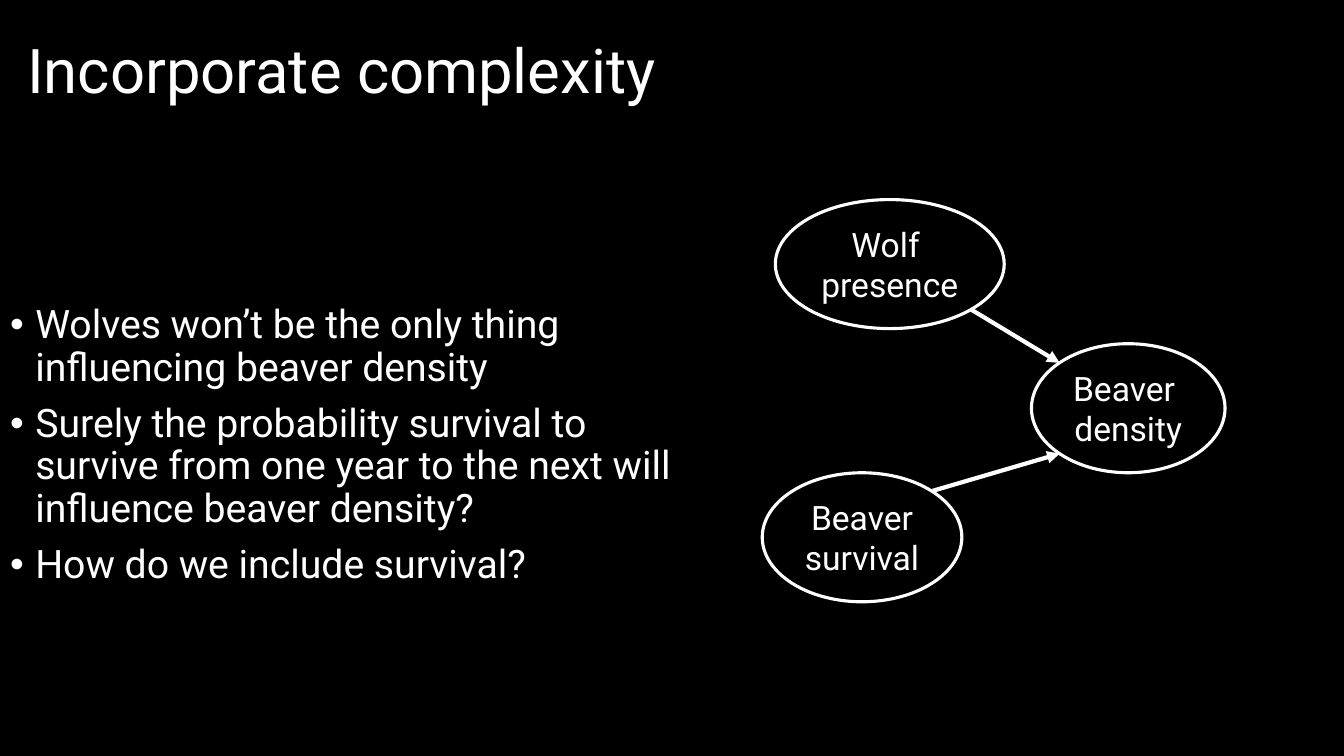
"""Build the slide on adding beaver survival to the wolf and beaver model."""
from lxml.etree import SubElement
from pptx import Presentation
from pptx.dml.color import RGBColor
from pptx.enum.shapes import MSO_CONNECTOR, MSO_SHAPE
from pptx.enum.text import MSO_ANCHOR, MSO_AUTO_SIZE, PP_ALIGN
from pptx.oxml.ns import qn
from pptx.util import Inches, Pt


def color(value):
    return RGBColor.from_string(value)


class SlideBuilder:
    font_name = "Roboto"
    foreground = "FFFFFF"
    background = "000000"

    def __init__(self, presentation):
        self.slide = presentation.slides.add_slide(presentation.slide_layouts[1])
        fill = self.slide.background.fill
        fill.solid()
        fill.fore_color.rgb = color(self.background)

    def format_runs(self, paragraph, size):
        for run in paragraph.runs:
            run.font.name = self.font_name
            run.font.size = Pt(size)
            run.font.color.rgb = color(self.foreground)

    def fill_placeholder(self, placeholder, box, text):
        placeholder.left, placeholder.top, placeholder.width, placeholder.height = map(Inches, box)
        text_frame = placeholder.text_frame
        text_frame.text = text
        text_frame.word_wrap = True
        text_frame.auto_size = MSO_AUTO_SIZE.NONE
        text_frame.vertical_anchor = MSO_ANCHOR.MIDDLE
        return text_frame.paragraphs

    def title(self, box, text):
        paragraph = self.fill_placeholder(self.slide.shapes.title, box, text)[0]
        paragraph.alignment = PP_ALIGN.CENTER
        paragraph.line_spacing = 0.9
        self.format_runs(paragraph, 44)

    def bullets(self, box, items):
        paragraphs = self.fill_placeholder(self.slide.placeholders[1], box, "\n".join(items))
        for index, paragraph in enumerate(paragraphs):
            properties = paragraph._p.get_or_add_pPr()
            properties.set("marL", str(Inches(0.25)))
            properties.set("indent", str(Inches(-0.25)))
            SubElement(properties, qn("a:buFont"), typeface="Arial")
            SubElement(properties, qn("a:buChar"), char="•")
            paragraph.alignment = PP_ALIGN.LEFT
            paragraph.line_spacing = 0.9
            paragraph.space_before = Pt(10 if index else 0)
            self.format_runs(paragraph, 28)

    def ellipse(self, left, top, width, text):
        shape = self.slide.shapes.add_shape(
            MSO_SHAPE.OVAL, Inches(left), Inches(top), Inches(width), Inches(1.28))
        shape.shadow.inherit = False
        shape.fill.background()
        shape.line.color.rgb = color(self.foreground)
        shape.line.width = Pt(2.25)
        text_frame = shape.text_frame
        text_frame.word_wrap = False
        text_frame.vertical_anchor = MSO_ANCHOR.MIDDLE
        paragraph = text_frame.paragraphs[0]
        paragraph.text = text
        paragraph.alignment = PP_ALIGN.CENTER
        self.format_runs(paragraph, 24)

    def arrow(self, start, end):
        connector = self.slide.shapes.add_connector(
            MSO_CONNECTOR.STRAIGHT, *map(Inches, start + end))
        connector.line.color.rgb = color(self.foreground)
        connector.line.width = Pt(3)
        SubElement(connector.line._get_or_add_ln(), qn("a:tailEnd"), type="triangle")
        SubElement(connector._element.spPr, qn("a:effectLst"))


def main():
    presentation = Presentation()
    presentation.slide_width = Inches(13.33)
    presentation.slide_height = Inches(7.5)
    builder = SlideBuilder(presentation)
    builder.title((0, 0, 6.78, 1.45), "Incorporate complexity")
    builder.bullets((0, 1.56, 6.78, 5.73), [
        "Wolves won’t be the only thing influencing beaver density",
        "Surely the probability survival to survive from one year to the next "
        "will influence beaver density?",
        "How do we include survival?",
    ])
    builder.ellipse(10.23, 3.41, 1.92, "Beaver \ndensity")
    builder.arrow((9.63, 3.07), (10.51, 3.6))
    builder.ellipse(7.69, 1.98, 2.27, "Wolf \npresence")
    builder.ellipse(7.56, 4.69, 1.98, "Beaver\nsurvival")
    builder.arrow((9.25, 4.87), (10.51, 4.5))
    presentation.save("out.pptx")


if __name__ == "__main__":
    main()
